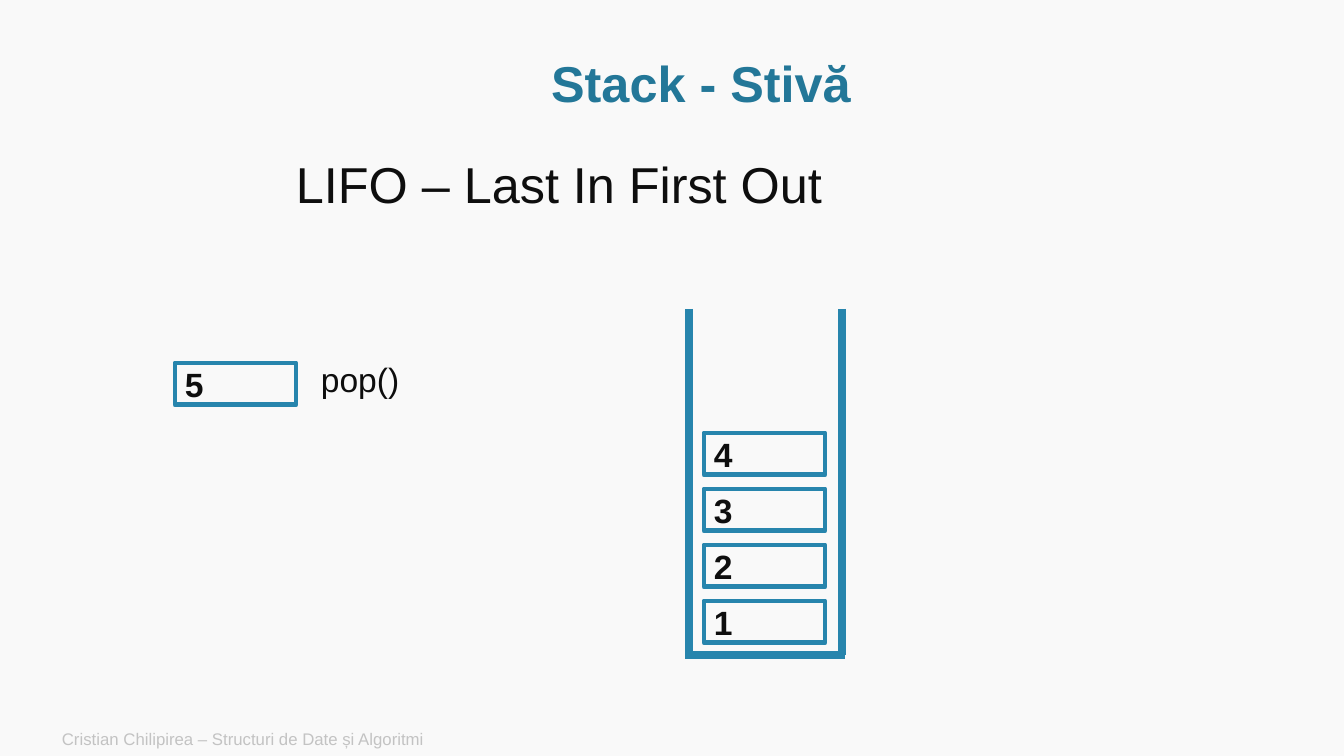
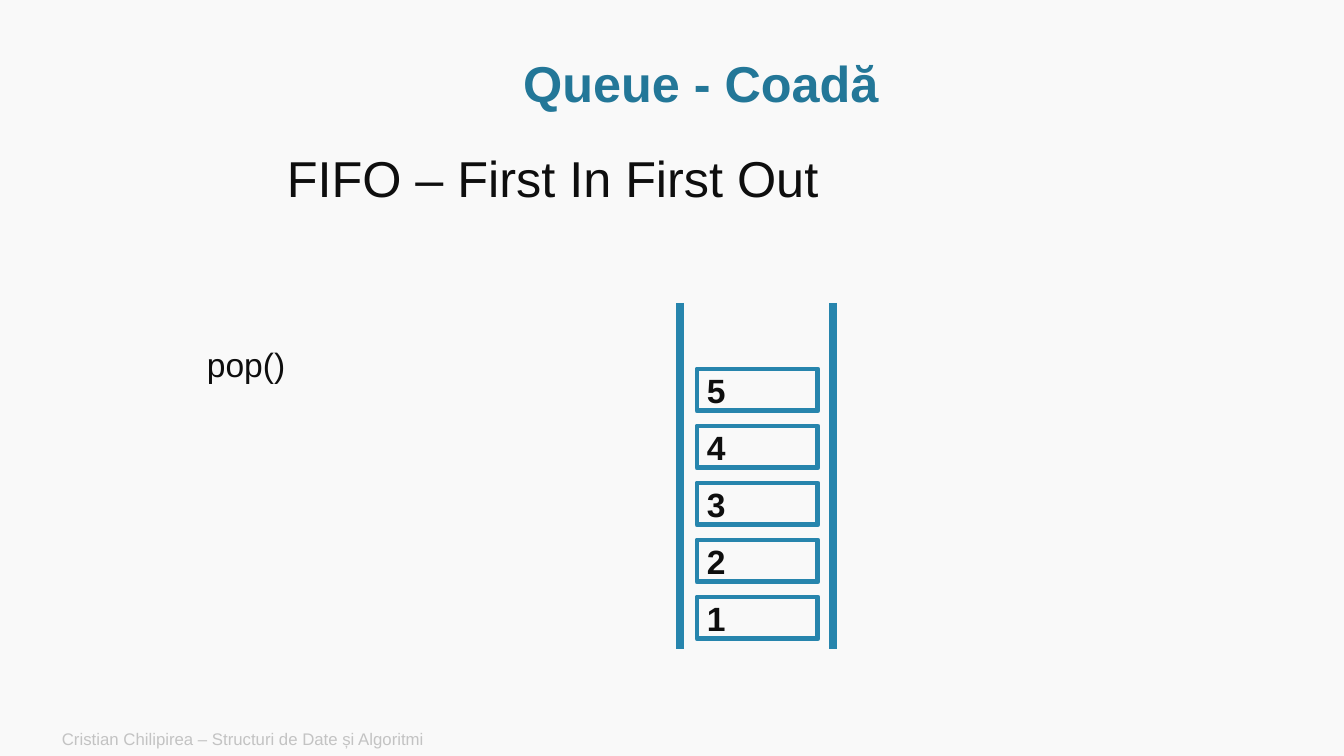
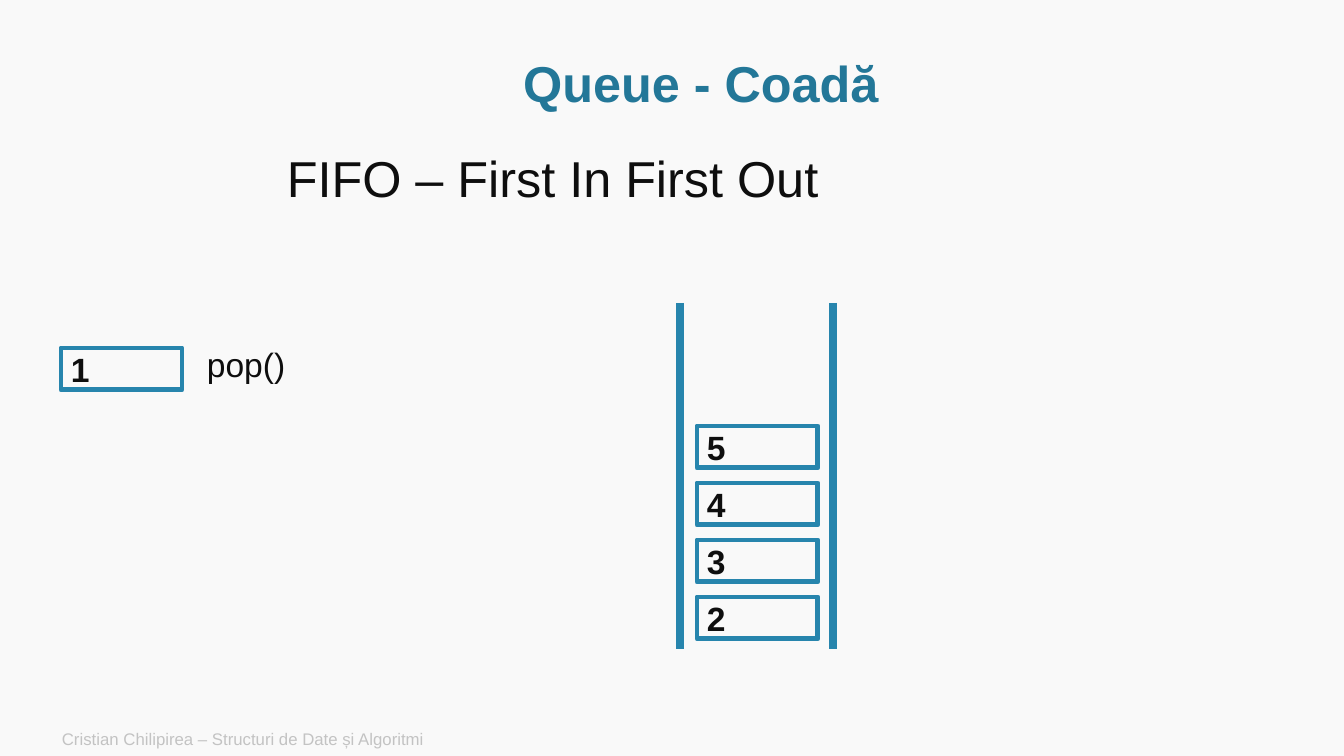
from lxml import etree
from pptx import Presentation
from pptx.dml.color import RGBColor
from pptx.enum.shapes import MSO_CONNECTOR, MSO_SHAPE
from pptx.enum.text import MSO_ANCHOR, MSO_AUTO_SIZE, PP_ALIGN
from pptx.oxml.ns import qn
from pptx.util import Pt

STRAIGHT = MSO_CONNECTOR.STRAIGHT
RECTANGLE = MSO_SHAPE.RECTANGLE
TOP, MIDDLE = MSO_ANCHOR.TOP, MSO_ANCHOR.MIDDLE
NO_FIT, GROW = MSO_AUTO_SIZE.NONE, MSO_AUTO_SIZE.SHAPE_TO_FIT_TEXT
LEFT, CENTER = PP_ALIGN.LEFT, PP_ALIGN.CENTER

EMU_PER_PX = 914400 / 100.8
TITLE_ONLY = 5
WALL_GAP, WALL_HEIGHT = 153, 346
ITEM_WIDTH, ITEM_HEIGHT = 121, 42


def px(length):
    return round(length * EMU_PER_PX)


def rgb(value):
    return RGBColor.from_string(value)


class Deck:
    FONT = "Arial"
    BACKGROUND, TITLE, INK, FRAME, FOOTER = "F9F9F9", "237798", "0E0E0E", "2785AD", "C3C3C3"
    CREDIT = "Cristian Chilipirea – Structuri de Date și Algoritmi"

    def __init__(self):
        self.prs = Presentation()
        self.prs.slide_width, self.prs.slide_height = px(1344), px(756)
        fill = self.prs.slide_master.background.fill
        fill.solid()
        fill.fore_color.rgb = rgb(self.BACKGROUND)
        self.slide = None

    def set_text(self, shape, text, size, color, bold=False, align=LEFT,
                 anchor=MIDDLE, spacing=None, wrap=True, fit=NO_FIT):
        frame = shape.text_frame
        frame.text = text
        frame.word_wrap, frame.auto_size, frame.vertical_anchor = wrap, fit, anchor
        paragraph = frame.paragraphs[0]
        paragraph.alignment = align
        if spacing:
            paragraph.line_spacing = spacing
        font = paragraph.font
        font.name, font.size, font.bold = self.FONT, Pt(size), bold
        font.color.rgb = rgb(color)

    def text(self, x, y, width, height, text, size, color, **style):
        box = self.slide.shapes.add_textbox(px(x), px(y), px(width), px(height))
        self.set_text(box, text, size, color, **style)

    def start(self, heading, principle, x, y):
        self.slide = self.prs.slides.add_slide(self.prs.slide_layouts[TITLE_ONLY])
        title = self.slide.shapes.title
        title.left, title.top, title.width, title.height = px(115), px(51), px(1172), px(70)
        self.set_text(title, heading, 36, self.TITLE, bold=True, align=CENTER, spacing=0.9)
        self.text(x, y, 613, 85, principle, 36, self.INK, anchor=TOP, spacing=0.9)
        self.text(52, 722, 847, 34, self.CREDIT, 12, self.FOOTER)

    def line(self, x1, y1, x2, y2):
        wall = self.slide.shapes.add_connector(STRAIGHT, px(x1), px(y1), px(x2), px(y2))
        wall.line.color.rgb = rgb(self.FRAME)
        wall.line.width = Pt(5.5)
        etree.SubElement(wall._element.spPr, qn("a:effectLst"))

    def walls(self, x, y):
        for wall_x in (x, x + WALL_GAP):
            self.line(wall_x, y, wall_x, y + WALL_HEIGHT)

    def item(self, x, y, value):
        item = self.slide.shapes.add_shape(
            RECTANGLE, px(x), px(y), px(ITEM_WIDTH), px(ITEM_HEIGHT))
        item.shadow.inherit = False
        item.fill.background()
        item.line.color.rgb = rgb(self.FRAME)
        item.line.width = Pt(3.5)
        self.set_text(item, str(value), 24, self.INK, bold=True, wrap=False)

    def pile(self, x, bottom_y, pitch, values):
        for level, value in enumerate(values):
            self.item(x, bottom_y - level * pitch, value)

    def pop_call(self, x, y, popped=None):
        self.text(x, y, 100, 50, "pop()", 24, self.INK, anchor=TOP, wrap=False, fit=GROW)
        if popped is not None:
            self.item(x - 136, y + 9, popped)


def stack_slide(deck):
    deck.start("Stack - Stivă", "LIFO – Last In First Out", 286, 155)
    deck.walls(689, 309)
    deck.line(845, 655, 685, 655)
    deck.pile(704, 601, 56, range(1, 5))
    deck.pop_call(311, 354, 5)


def queue_slide(deck, waiting, popped=None):
    deck.start("Queue - Coadă", "FIFO – First In First Out", 277, 149)
    deck.walls(680, 303)
    deck.pile(697, 597, 57, waiting)
    deck.pop_call(197, 339, popped)


def main():
    deck = Deck()
    stack_slide(deck)
    queue_slide(deck, range(1, 6))
    queue_slide(deck, range(2, 6), popped=1)
    deck.prs.save("out.pptx")


if __name__ == "__main__":
    main()
